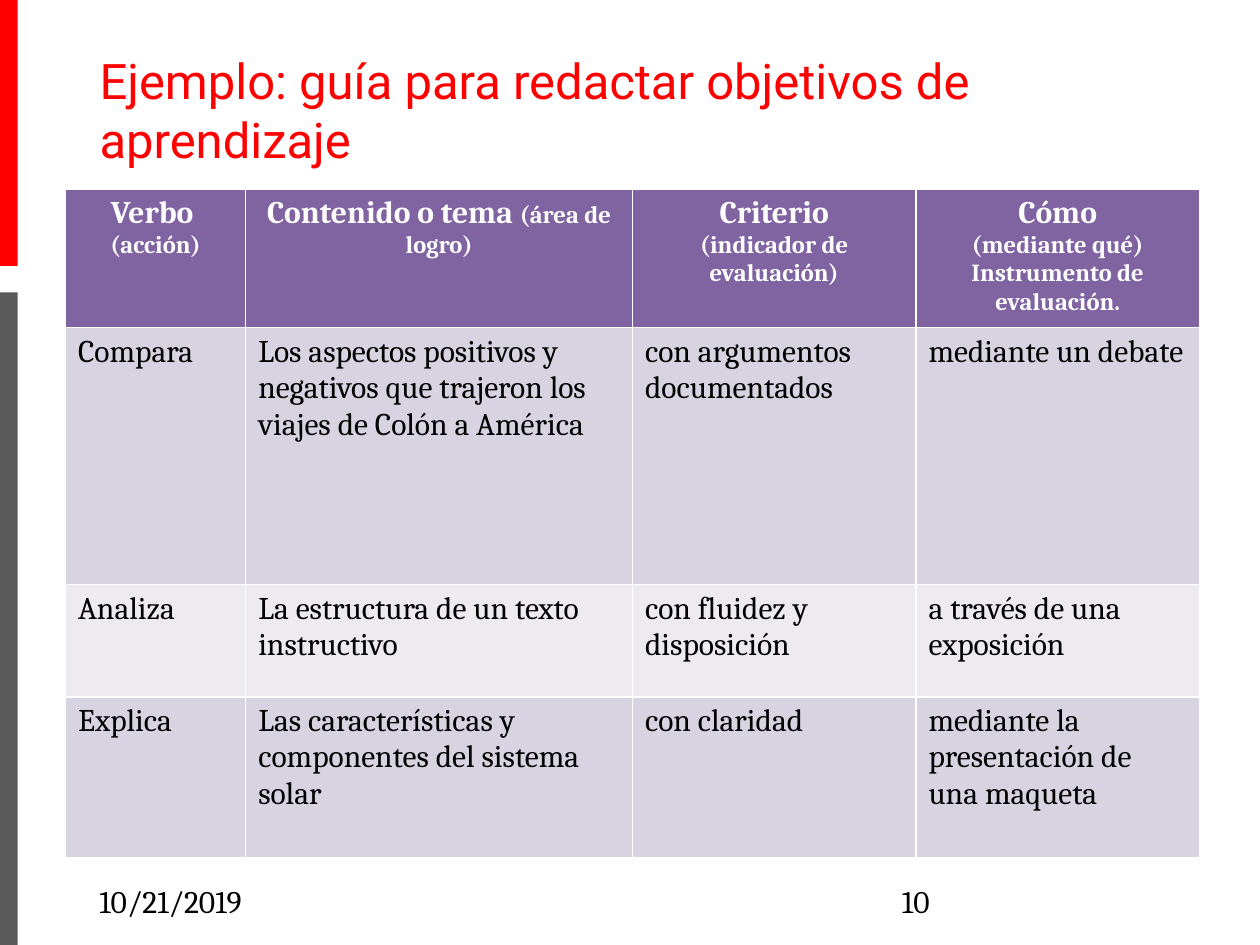
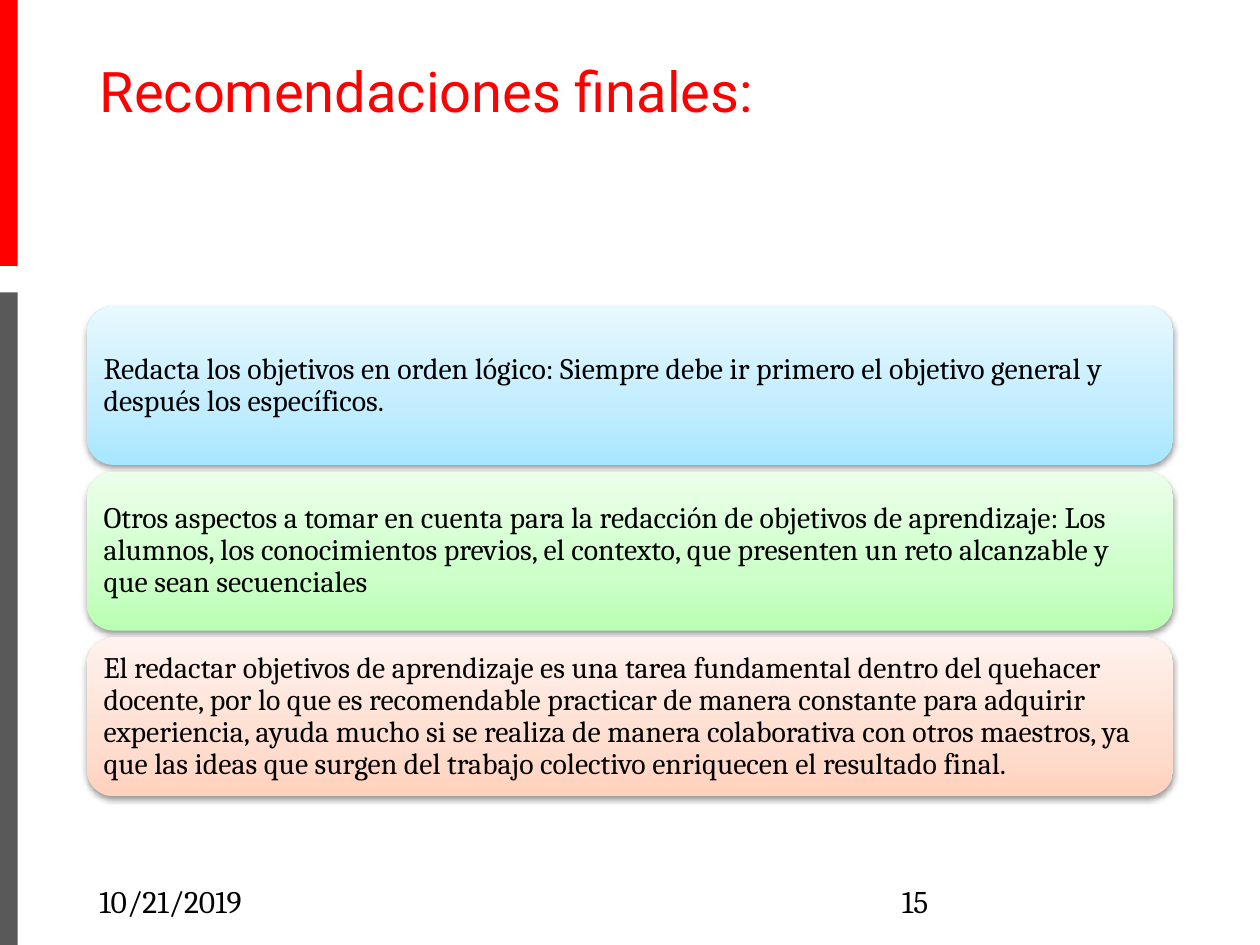
from pptx import Presentation
from pptx.dml.color import RGBColor
from pptx.enum.shapes import MSO_SHAPE
from pptx.enum.text import MSO_ANCHOR, MSO_AUTO_SIZE, PP_ALIGN
from pptx.oxml import parse_xml
from pptx.oxml.ns import nsdecls, qn
from pptx.util import Inches, Pt

# Content
DATE = "10/21/2019"
GUIDE = {"title": "Ejemplo: guía para redactar objetivos de aprendizaje",
         "size": 28, "top": 0.35, "height": 0.67, "number": "10"}
ADVICE = {"title": "Recomendaciones finales:",
          "size": 32, "top": 0.4, "height": 0.77, "number": "15"}

# Each heading is a list of paragraphs, each paragraph a list of (text, size)
HEADINGS = [
    [[("Verbo ", 18)], [("(acción)", 14)]],
    [[("Contenido o tema ", 18), ("(área de logro)", 14)]],
    [[("Criterio", 18)], [("(indicador de evaluación)", 14)]],
    [[("Cómo", 18)], [("(mediante qué)", 14)], [("Instrumento de evaluación.", 14)]],
]
EXAMPLES = [
    ["Compara",
     "Los aspectos positivos y negativos que trajeron los viajes de Colón a América",
     "con argumentos documentados", "mediante un debate"],
    ["Analiza", "La estructura de un texto instructivo",
     "con fluidez y disposición", "a través de una exposición"],
    ["Explica", "Las características y componentes del sistema solar",
     "con claridad", "mediante la presentación de una maqueta"],
]
COLUMN_WIDTHS = [1.43, 3.07, 2.25, 2.25]
ROW_HEIGHTS = [0.81, 2.04, 0.89, 1.28]

# Advice text with its gradient, from bottom to top
RECOMMENDATIONS = [
    ("Redacta los objetivos en orden lógico: Siempre debe ir primero el objetivo "
     "general y después los específicos.",
     ["A7E6FF", "C1EDFF", "E7F8FF"]),
    ("Otros aspectos a tomar en cuenta para la redacción de objetivos de aprendizaje: "
     "Los alumnos, los conocimientos previos, el contexto, que presenten un reto "
     "alcanzable y que sean secuenciales",
     ["B9FFB2", "CDFFC9", "ECFFEA"]),
    ("El redactar objetivos de aprendizaje es una tarea fundamental dentro del quehacer "
     "docente, por lo que es recomendable practicar de manera constante para adquirir "
     "experiencia, ayuda mucho si se realiza de manera colaborativa con otros maestros, "
     "ya que las ideas que surgen del trabajo colectivo enriquecen el resultado final.",
     ["FFD2BD", "FFDED0", "FFF2ED"]),
]

# Shared style
COLORS = {"red": "FF0000", "gray": "595959", "black": "000000", "white": "FFFFFF",
          "purple": "8064A2", "row_dark": "D8D3E0", "row_light": "EDEAF0"}
TITLE_FONT, BODY_FONT = "Roboto", "Cambria"
LEFT, WIDTH = 0.69, 8.62
BANDS = [(0, 2.11, "red"), (2.32, 5.18, "gray")]
BAND_WIDTH = 0.14
FOOTER_TOP, FOOTER_WIDTH, FOOTER_HEIGHT = 6.95, 2.25, 0.4
CARD_TOP, CARD_HEIGHT, CARD_PITCH = 2.43, 1.26, 1.315
GRADIENT_STOPS = [0, 35, 100]


def rgb(name):
    return RGBColor.from_string(COLORS[name])


def style(font, size, color="black", face=BODY_FONT, bold=False):
    font.name, font.size, font.bold = face, Pt(size), bold
    font.color.rgb = rgb(color)


def add_bands(slide, layout):
    """Draw the side bands and move them to the shared layout."""
    for index, (top, height, color) in enumerate(BANDS):
        band = slide.shapes.add_shape(MSO_SHAPE.RECTANGLE, 0, Inches(top),
                                      Inches(BAND_WIDTH), Inches(height))
        band.shadow.inherit = False
        band.fill.solid()
        band.fill.fore_color.rgb = rgb(color)
        band.line.fill.background()
        band.element.nvSpPr.cNvPr.set("id", str(100 + index))
        layout.shapes.element.insert(2 + index, band.element)


def add_page(deck, layout, page):
    slide = deck.slides.add_slide(layout)
    title = slide.shapes.title
    title.left, title.top = Inches(LEFT), Inches(page["top"])
    title.width, title.height = Inches(WIDTH), Inches(page["height"])
    frame = title.text_frame
    frame.text = page["title"]
    frame.auto_size = MSO_AUTO_SIZE.NONE
    frame.vertical_anchor = MSO_ANCHOR.TOP
    frame.paragraphs[0].alignment = PP_ALIGN.LEFT
    style(frame.paragraphs[0].runs[0].font, page["size"], "red", TITLE_FONT)

    # Date at the left margin, page number ending at the right margin
    for left, text in ((LEFT, DATE), (LEFT + WIDTH - FOOTER_WIDTH, page["number"])):
        footer = slide.shapes.add_textbox(Inches(left), Inches(FOOTER_TOP),
                                          Inches(FOOTER_WIDTH), Inches(FOOTER_HEIGHT))
        footer.text_frame.word_wrap = True
        footer.text_frame.text = text
        style(footer.text_frame.paragraphs[0].runs[0].font, 18)
    return slide


def fill_cell(cell, paragraphs, fill, color, heading):
    cell.fill.solid()
    cell.fill.fore_color.rgb = rgb(fill)
    frame = cell.text_frame
    for index, runs in enumerate(paragraphs):
        paragraph = frame.add_paragraph() if index else frame.paragraphs[0]
        paragraph.alignment = PP_ALIGN.CENTER if heading else PP_ALIGN.LEFT
        for text, size in runs:
            run = paragraph.add_run()
            run.text = text
            style(run.font, size, color, bold=heading)


def add_guide_table(slide):
    guide = slide.shapes.add_table(
        len(ROW_HEIGHTS), len(COLUMN_WIDTHS), Inches(0.52), Inches(1.5),
        Inches(sum(COLUMN_WIDTHS)), Inches(sum(ROW_HEIGHTS))).table
    for column, width in zip(guide.columns, COLUMN_WIDTHS):
        column.width = Inches(width)
    for row, height in zip(guide.rows, ROW_HEIGHTS):
        row.height = Inches(height)
    for column, heading in enumerate(HEADINGS):
        fill_cell(guide.cell(0, column), heading, "purple", "white", True)
    for row, example in enumerate(EXAMPLES, 1):
        fill = "row_dark" if row % 2 else "row_light"
        for column, text in enumerate(example):
            fill_cell(guide.cell(row, column), [[(text, 18)]], fill, "black", False)


def add_card(slide, top, text, gradient):
    card = slide.shapes.add_shape(MSO_SHAPE.ROUNDED_RECTANGLE, Inches(LEFT), Inches(top),
                                  Inches(WIDTH), Inches(CARD_HEIGHT))
    card.fill.background()
    card.line.fill.background()
    card.shadow.inherit = False

    # Three-stop gradient and soft shadow below
    properties = card.element.spPr
    stops = "".join(f'<a:gs pos="{pos * 1000}"><a:srgbClr val="{color}"/></a:gs>'
                    for pos, color in zip(GRADIENT_STOPS, gradient))
    properties.replace(properties.find(qn("a:noFill")), parse_xml(
        f'<a:gradFill {nsdecls("a")} rotWithShape="1"><a:gsLst>{stops}</a:gsLst>'
        '<a:lin ang="16200000" scaled="0"/></a:gradFill>'))
    properties.find(qn("a:effectLst")).append(parse_xml(
        f'<a:outerShdw {nsdecls("a")} blurRad="{Pt(3.1)}" dist="{Pt(1.6)}" dir="5400000" '
        f'rotWithShape="0"><a:srgbClr val="{COLORS["black"]}"><a:alpha val="38000"/>'
        '</a:srgbClr></a:outerShdw>'))

    frame = card.text_frame
    frame.word_wrap = True
    frame.vertical_anchor = MSO_ANCHOR.MIDDLE
    frame.margin_left = frame.margin_right = Inches(0.07)
    frame.margin_top = frame.margin_bottom = Inches(0.07)
    frame.text = text
    paragraph = frame.paragraphs[0]
    paragraph.alignment = PP_ALIGN.LEFT
    paragraph.line_spacing = 0.9
    style(paragraph.runs[0].font, 17)


def main():
    deck = Presentation()
    deck.slide_width, deck.slide_height = Inches(10), Inches(7.5)
    layout = deck.slide_layouts[5]

    # Guide table
    guide_slide = add_page(deck, layout, GUIDE)
    add_bands(guide_slide, layout)
    add_guide_table(guide_slide)

    # Final recommendations
    advice_slide = add_page(deck, layout, ADVICE)
    for index, (text, gradient) in enumerate(RECOMMENDATIONS):
        add_card(advice_slide, CARD_TOP + index * CARD_PITCH, text, gradient)

    deck.save("out.pptx")


if __name__ == "__main__":
    main()
